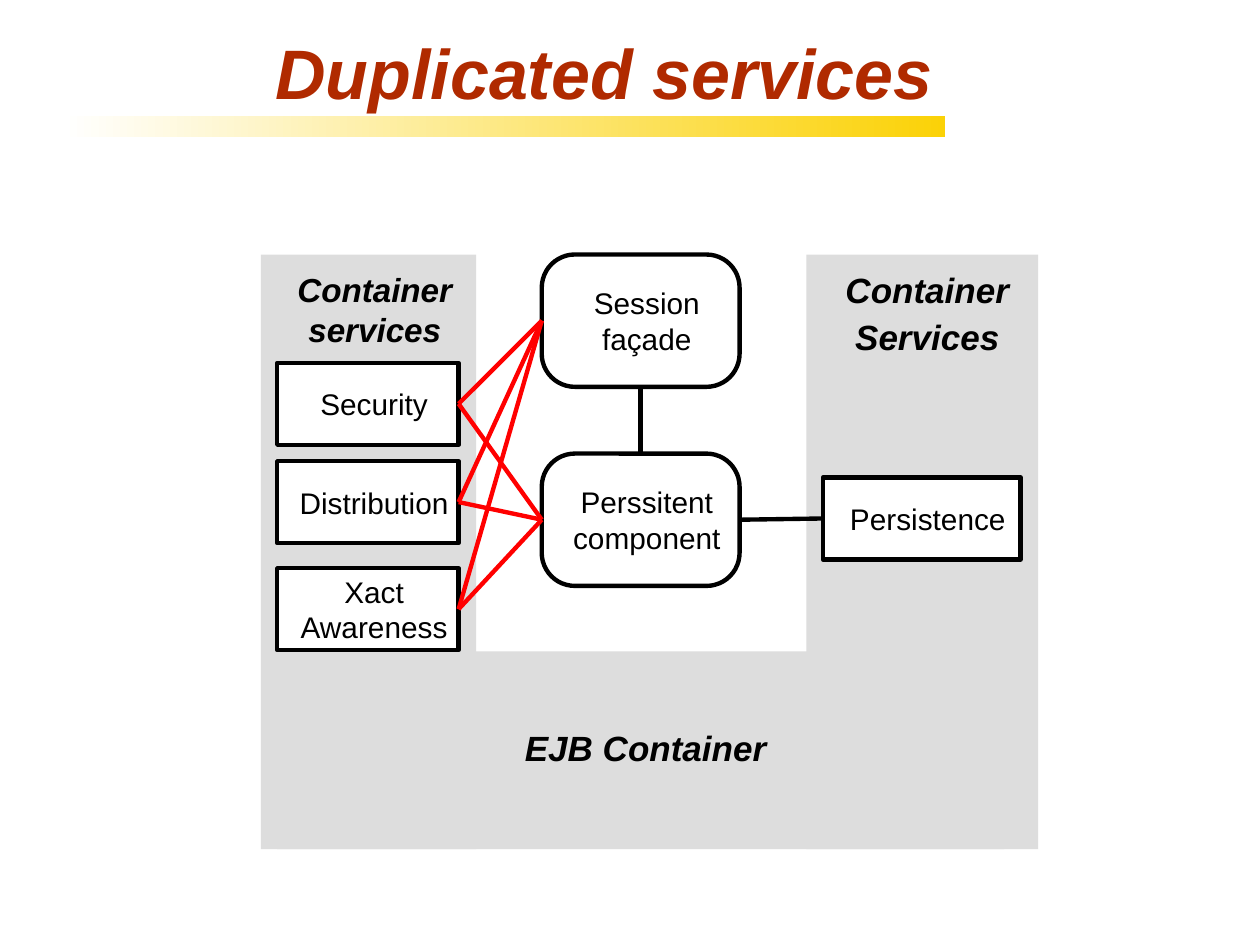
import dataclasses
import itertools

import lxml.etree
import pptx
import pptx.dml.color
import pptx.enum.shapes
import pptx.enum.text
import pptx.oxml.ns
import pptx.util

Inches = pptx.util.Inches
Pt = pptx.util.Pt
RGB = pptx.dml.color.RGBColor.from_string
Shape = pptx.enum.shapes.MSO_SHAPE
Anchor = pptx.enum.text.MSO_ANCHOR
Align = pptx.enum.text.PP_ALIGN
TOP, LEFT, BOTTOM, RIGHT = range(4)


@dataclasses.dataclass(frozen=True)
class Theme:
    font: str = "Arial"
    title: str = "B02A00"
    accent: str = "FBD207"
    ink: str = "000000"
    paper: str = "FFFFFF"
    panel: str = "DDDDDD"
    duplicate: str = "FF0000"
    title_size: float = 40
    heading_size: float = 20
    small_heading_size: float = 19
    label_size: float = 17
    line_width: float = 2.5


@dataclasses.dataclass(frozen=True)
class Box:
    left: float
    top: float
    width: float
    height: float

    def inner(self, left, top, width, height):
        """Return a box placed relative to this one."""
        return Box(self.left + left, self.top + top, width, height)

    def lengths(self):
        return [Inches(value) for value in dataclasses.astuple(self)]


THEME = Theme()


def write(shape, text, size, color, align, anchor, insets, bold=False, gap=0):
    """Fill a shape with one paragraph per line of text."""
    frame = shape.text_frame
    frame.text = text
    frame.word_wrap = True
    frame.auto_size = pptx.enum.text.MSO_AUTO_SIZE.NONE
    frame.vertical_anchor = anchor
    (frame.margin_left, frame.margin_top,
     frame.margin_right, frame.margin_bottom) = map(Inches, insets)
    for index, para in enumerate(frame.paragraphs):
        para.alignment = align
        para.space_before = Pt(gap if index else 0)
        for span in para.runs:
            span.font.name = THEME.font
            span.font.size = Pt(size)
            span.font.bold = span.font.italic = bold
            span.font.color.rgb = RGB(color)


def add_block(page, box, fill, kind=Shape.RECTANGLE, outlined=False):
    shape = page.shapes.add_shape(kind, *box.lengths())
    shape.shadow.inherit = False
    shape.fill.solid()
    shape.fill.fore_color.rgb = RGB(fill)
    if outlined:
        shape.line.color.rgb = RGB(THEME.ink)
        shape.line.width = Pt(THEME.line_width)
    else:
        shape.line.fill.background()
    return shape


def add_panel(page, box, text, size, anchor, insets, gap=0):
    panel = add_block(page, box, THEME.panel)
    write(panel, text, size, THEME.ink, Align.CENTER, anchor, insets, True, gap)


def add_node(page, box, text, kind=Shape.RECTANGLE):
    node = add_block(page, box, THEME.paper, kind, outlined=True)
    if kind == Shape.ROUNDED_RECTANGLE:
        node.adjustments[0] = 0.25
    write(node, text, THEME.label_size, THEME.ink, Align.CENTER,
          Anchor.MIDDLE, (0.1, 0, 0, 0))
    return node


def join(page, start, start_side, end, end_side, color):
    line = page.shapes.add_connector(
        pptx.enum.shapes.MSO_CONNECTOR.STRAIGHT, 0, 0, 0, 0)
    line.begin_connect(start, start_side)
    line.end_connect(end, end_side)
    line.line.color.rgb = RGB(color)
    line.line.width = Pt(THEME.line_width)
    lxml.etree.SubElement(line._element.spPr, pptx.oxml.ns.qn("a:effectLst"))


def add_heading(page, box):
    """Title with a fading bar under it."""
    title = page.shapes.title
    title.left, title.top, title.width, title.height = box.inner(
        0, 0, box.width, 0.53).lengths()
    write(title, "Duplicated services", THEME.title_size, THEME.title,
          Align.RIGHT, Anchor.MIDDLE, (0.1, 0.05, 0.1, 0.05), True)

    bar = add_block(page, box.inner(0, 0.62, box.width, 0.17), THEME.accent)
    bar.fill.gradient()
    bar.fill.gradient_angle = 0
    for stop, color in zip(bar.fill.gradient_stops, (THEME.paper, THEME.accent)):
        stop.color.rgb = RGB(color)


def add_container(page, box):
    """U-shaped container with its services around the two components."""
    # Grey panels
    add_panel(page, box.inner(0.13, 3.15, 5.77, 1.57), "EJB Container",
              THEME.heading_size, Anchor.MIDDLE, (0.08, 0, 0, 0.04))
    add_panel(page, box.inner(0, 0, 1.71, box.height), "Container\nservices",
              THEME.small_heading_size, Anchor.TOP, (0.1, 0.12, 0, 0))
    add_panel(page, box.inner(box.width - 1.84, 0, 1.84, box.height),
              "Container\nServices", THEME.heading_size, Anchor.TOP,
              (0.08, 0.11, 0, 0), gap=3)

    # Services and components
    services = [
        add_node(page, box.inner(0.13, top, 1.44, 0.65), text)
        for top, text in ((0.86, "Security"), (1.64, "Distribution"),
                          (2.49, "Xact\nAwareness"))]
    facade, component = [
        add_node(page, box.inner(2.23, top, 1.57, 1.05), text,
                 Shape.ROUNDED_RECTANGLE)
        for top, text in ((0, "Session\nfaçade"),
                          (1.58, "Perssitent\ncomponent"))]
    persistence = add_node(page, box.inner(4.46, 1.77, 1.57, 0.65), "Persistence")

    # Every service reaches both components
    for service, target in itertools.product(services, (facade, component)):
        join(page, service, RIGHT, target, LEFT, THEME.duplicate)
    join(page, facade, BOTTOM, component, TOP, THEME.ink)
    join(page, component, RIGHT, persistence, LEFT, THEME.ink)


def main():
    deck = pptx.Presentation()
    deck.slide_width, deck.slide_height = Inches(10), Inches(7.5)
    page = deck.slides.add_slide(deck.slide_layouts.get_by_name("Title Only"))
    add_heading(page, Box(0.5, 0.3, 7, 0.79))
    add_container(page, Box(2.07, 2.02, 6.17, 4.72))
    deck.save("out.pptx")


if __name__ == "__main__":
    main()
